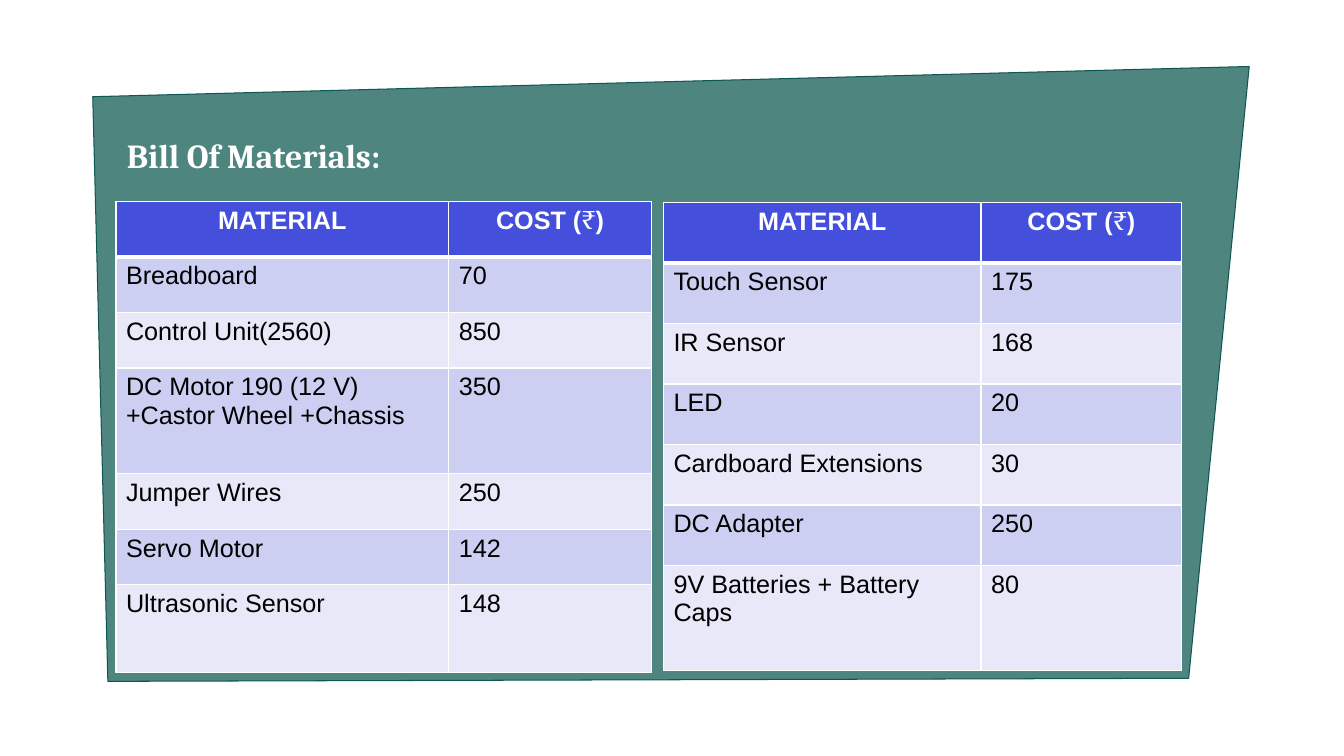
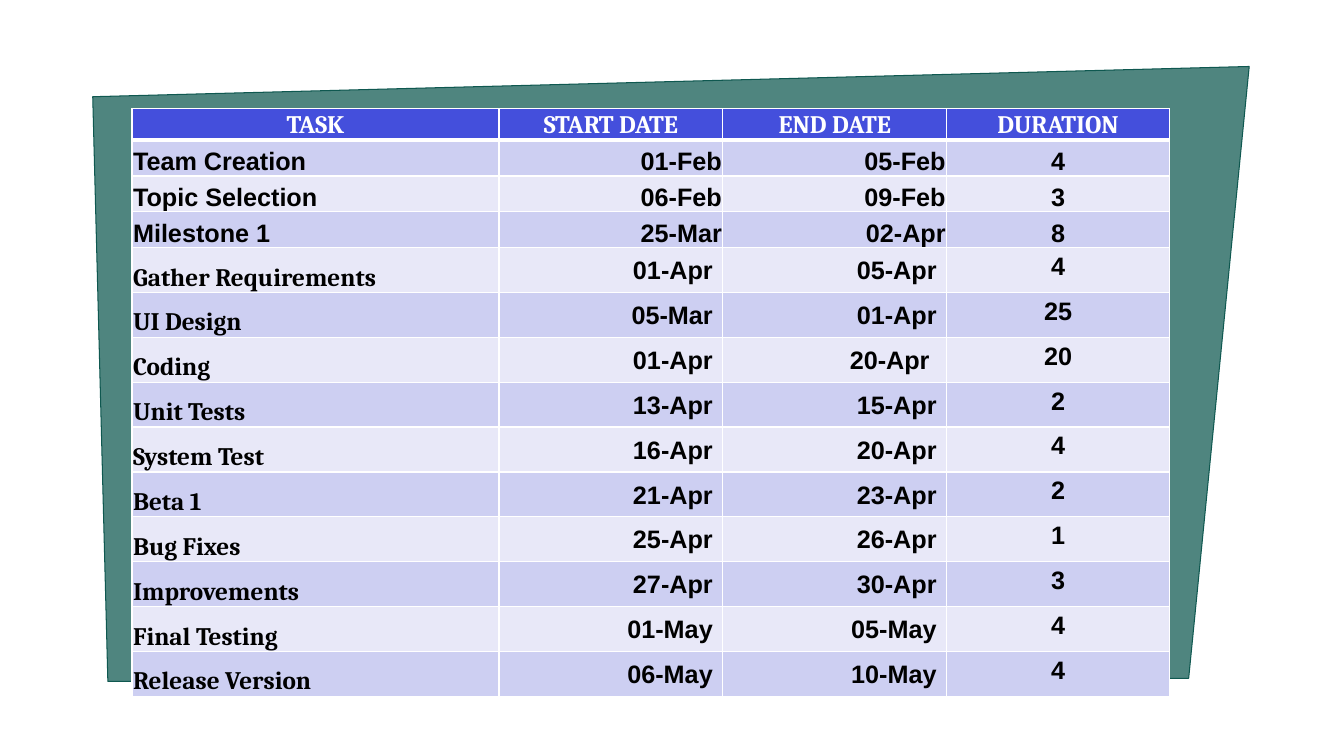
from dataclasses import dataclass

from lxml import etree
from pptx import Presentation
from pptx import util as u
from pptx.dml.color import RGBColor
from pptx.enum import text
from pptx.oxml.ns import qn

WHITE = RGBColor(0xFF, 0xFF, 0xFF)
BLACK = RGBColor(0, 0, 0)
TEAL = RGBColor(0x0F, 0x58, 0x50)
HEADER_BLUE = RGBColor(0x44, 0x4F, 0xDC)
BANDS = (RGBColor(0xCD, 0xCF, 0xF2), RGBColor(0xE8, 0xE8, 0xF8))
SANS, SERIF = "Arial", "Cambria"
LEFT, CENTER, RIGHT = text.PP_ALIGN.LEFT, text.PP_ALIGN.CENTER, text.PP_ALIGN.RIGHT
TOP, BOTTOM = text.MSO_ANCHOR.TOP, text.MSO_ANCHOR.BOTTOM
ROOMY = (0.1, 0.05, 0.1, 0.05)
TIGHT = (0.01, 0.01, 0.01, 0)
PANEL = [(1.07, 6.76), (0.92, 0.96), (12.39, 0.66), (11.79, 6.73)]

COST_HEADER = ["MATERIAL", "COST (₹)"]
FIRST_COSTS = [
    ("Breadboard", "70"),
    ("Control Unit(2560)", "850"),
    ("DC Motor 190 (12 V)\n+Castor Wheel +Chassis", "350"),
    ("Jumper Wires", "250"),
    ("Servo Motor", "142"),
    ("Ultrasonic Sensor", "148"),
]
SECOND_COSTS = [
    ("Touch Sensor", "175"),
    ("IR Sensor", "168"),
    ("LED", "20"),
    ("Cardboard Extensions", "30"),
    ("DC Adapter", "250"),
    ("9V Batteries + Battery Caps", "80"),
]
TASK_HEADER = ["TASK", "START DATE", "END DATE", "DURATION"]
PLANNING = [
    ("Team Creation", "01-Feb", "05-Feb", "4"),
    ("Topic Selection", "06-Feb", "09-Feb", "3"),
    ("Milestone 1", "25-Mar", "02-Apr", "8"),
]
DEVELOPMENT = [
    ("Gather Requirements", "01-Apr", "05-Apr", "4"),
    ("UI Design", "05-Mar", "01-Apr", "25"),
    ("Coding", "01-Apr", "20-Apr ", "20"),
    ("Unit Tests", "13-Apr", "15-Apr", "2"),
    ("System Test", "16-Apr", "20-Apr", "4"),
    ("Beta 1", "21-Apr", "23-Apr", "2"),
    ("Bug Fixes", "25-Apr", "26-Apr", "1"),
    ("Improvements", "27-Apr", "30-Apr", "3"),
    ("Final Testing", "01-May", "05-May", "4"),
    ("Release Version", "06-May", "10-May", "4"),
]


@dataclass(frozen=True)
class CellStyle:
    font: str = SANS
    bold: bool = False
    color: RGBColor = BLACK
    align: text.PP_ALIGN = LEFT
    anchor: text.MSO_ANCHOR = TOP
    insets: tuple = ROOMY
    spacing: float = 1.0


COST_HEAD = CellStyle(bold=True, color=WHITE, align=CENTER)
COST_BODY = CellStyle()
TASK_HEAD = CellStyle(SERIF, True, WHITE, CENTER, BOTTOM, TIGHT)
PLANNING_STYLES = [
    CellStyle(bold=True, align=align, anchor=BOTTOM, insets=TIGHT, spacing=spacing)
    for align, spacing in ((LEFT, 1.0), (RIGHT, 1.15), (RIGHT, 1.15), (CENTER, 1.0))
]
DATE = CellStyle(bold=True, align=RIGHT, spacing=1.15)
DEVELOPMENT_STYLES = [
    CellStyle(SERIF, True, anchor=BOTTOM, insets=TIGHT),
    DATE,
    DATE,
    CellStyle(bold=True, align=CENTER),
]


def set_insets(target, insets):
    (target.margin_left, target.margin_top,
     target.margin_right, target.margin_bottom) = map(u.Inches, insets)


class DeckBuilder:
    def __init__(self):
        self.deck = Presentation()
        self.deck.slide_width = u.Inches(13.33)
        self.deck.slide_height = u.Inches(7.5)
        self.page = None

    def add_page(self):
        """Start a slide with the slanted teal panel."""
        self.page = self.deck.slides.add_slide(self.deck.slide_layouts[6])
        corners = [(u.Inches(x), u.Inches(y)) for x, y in PANEL]
        outline = self.page.shapes.build_freeform(*corners[0])
        outline.add_line_segments(corners[1:], close=True)
        panel = outline.convert_to_shape()
        panel.shadow.inherit = False
        panel.fill.solid()
        panel.fill.fore_color.rgb = TEAL
        color = panel.fill._xPr.find(qn("a:solidFill"))[0]
        etree.SubElement(color, qn("a:alpha"), val="73000")
        panel.line.color.rgb = TEAL
        panel.line.width = u.Pt(0.75)

    def add_run(self, para, words, size, font, color, bold):
        span = para.add_run()
        span.text = words
        span.font.size = u.Pt(size)
        span.font.name = font
        span.font.color.rgb = color
        span.font.bold = bold

    def add_title(self, words):
        box = self.page.shapes.add_textbox(
            u.Inches(1.16), u.Inches(1.33), u.Inches(3.08), u.Inches(0.67))
        box.text_frame.word_wrap = True
        set_insets(box.text_frame, ROOMY)
        para = box.text_frame.paragraphs[0]
        para.line_spacing = 0.9
        self.add_run(para, words, 24, SERIF, WHITE, True)

    def add_borders(self, cell, top, bottom):
        properties = cell._tc.get_or_add_tcPr()
        for side, width in (("L", 1), ("R", 1), ("T", top), ("B", bottom)):
            line = etree.SubElement(properties, qn(f"a:ln{side}"), w=str(u.Pt(width)))
            fill = etree.SubElement(line, qn("a:solidFill"))
            etree.SubElement(fill, qn("a:srgbClr"), val=str(WHITE))

    def fill_cell(self, cell, words, style, color):
        set_insets(cell, style.insets)
        cell.vertical_anchor = style.anchor
        cell.fill.solid()
        cell.fill.fore_color.rgb = color
        para = cell.text_frame.paragraphs[0]
        para.alignment = style.align
        para.line_spacing = style.spacing
        for number, line in enumerate(words.split("\n")):
            if number:
                para.add_line_break()
            before, rupee, after = line.partition("₹")
            for part in filter(None, (before, rupee, after)):
                if part == "₹":
                    self.add_run(para, part, 18, SERIF, style.color, False)
                else:
                    self.add_run(para, part, 18, style.font, style.color, style.bold)

    def add_table(self, left, top, widths, heights, rows, styles):
        """Draw a banded table; styles holds one list of cell styles per row."""
        table = self.page.shapes.add_table(
            len(rows), len(widths), u.Inches(left), u.Inches(top),
            u.Inches(sum(widths)), u.Inches(sum(heights))).table
        for column, width in zip(table.columns, widths):
            column.width = u.Inches(width)
        for index, (values, row_styles) in enumerate(zip(rows, styles)):
            table.rows[index].height = u.Inches(heights[index])
            color = BANDS[(index - 1) % 2] if index else HEADER_BLUE
            for column, (words, style) in enumerate(zip(values, row_styles)):
                cell = table.cell(index, column)
                self.add_borders(cell, 3 if index == 1 else 1, 1 if index else 3)
                self.fill_cell(cell, words, style, color)

    def add_cost_table(self, left, top, widths, heights, costs):
        styles = [[COST_HEAD] * 2] + [[COST_BODY] * 2] * len(costs)
        self.add_table(left, top, widths, heights, [COST_HEADER] + costs, styles)


def main():
    builder = DeckBuilder()

    builder.add_page()
    builder.add_title("Bill Of Materials:")
    builder.add_cost_table(1.15, 2, [3.3, 2.01],
                           [0.55] * 3 + [1.05] + [0.55] * 2 + [0.87], FIRST_COSTS)
    builder.add_cost_table(6.58, 2.01, [3.15, 1.99], [0.6] * 6 + [1.04], SECOND_COSTS)

    builder.add_page()
    builder.add_table(
        1.31, 1.08, [3.64, 2.22, 2.22, 2.21],
        [0.3] + [0.33] * len(PLANNING) + [0.42] * len(DEVELOPMENT),
        [TASK_HEADER] + PLANNING + DEVELOPMENT,
        [[TASK_HEAD] * 4] + [PLANNING_STYLES] * len(PLANNING)
        + [DEVELOPMENT_STYLES] * len(DEVELOPMENT))

    builder.deck.save("out.pptx")


if __name__ == "__main__":
    main()
